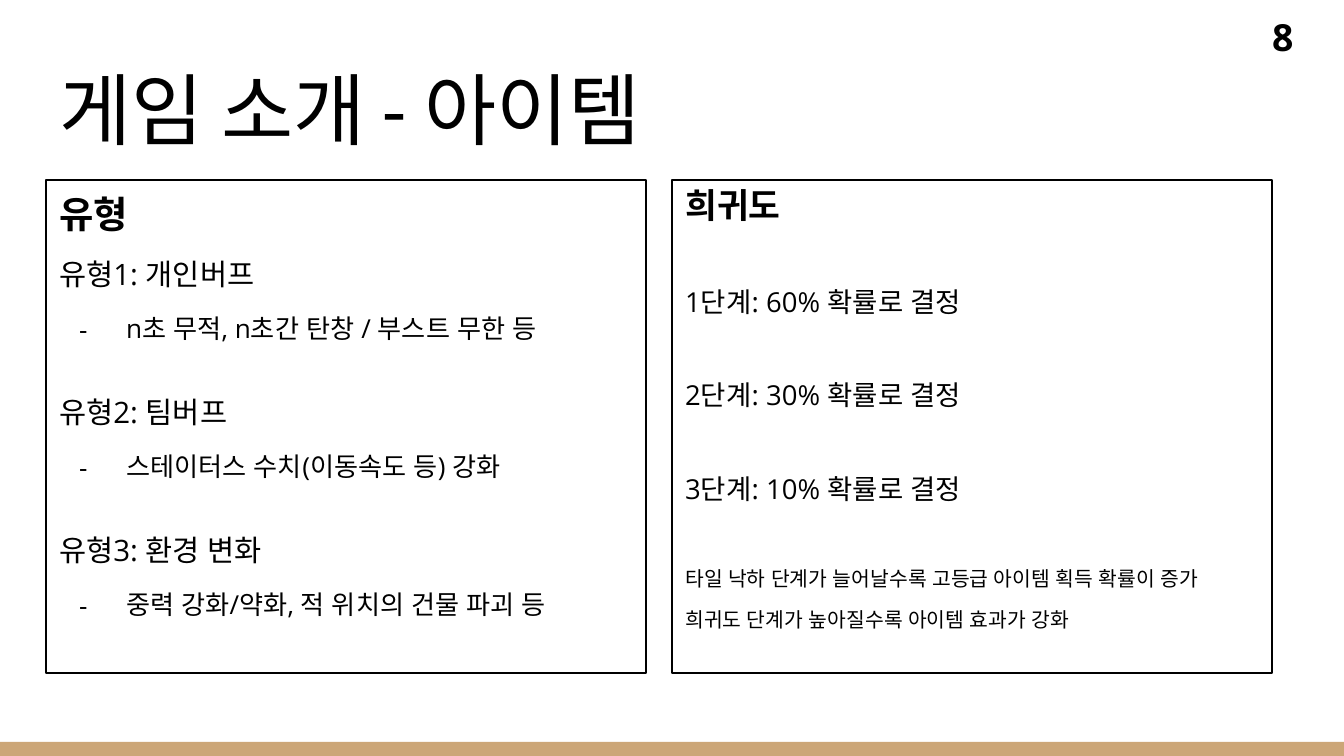
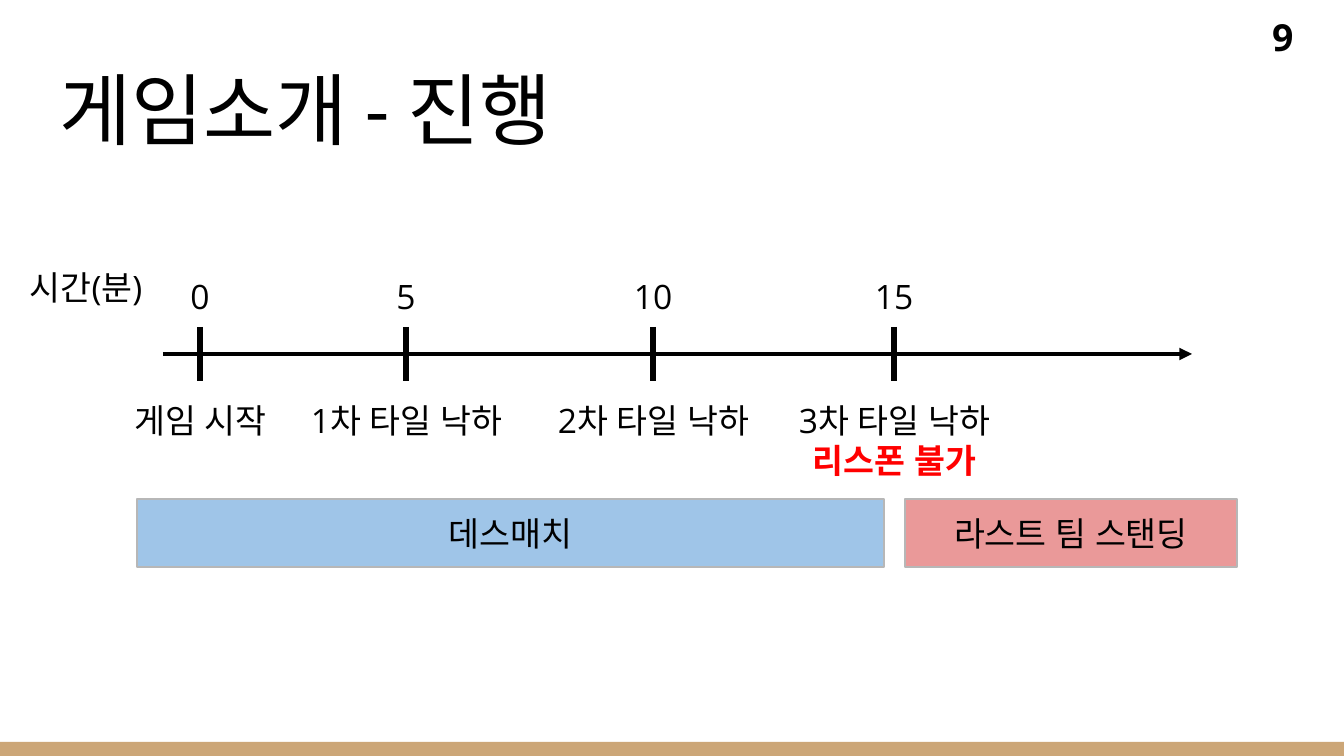
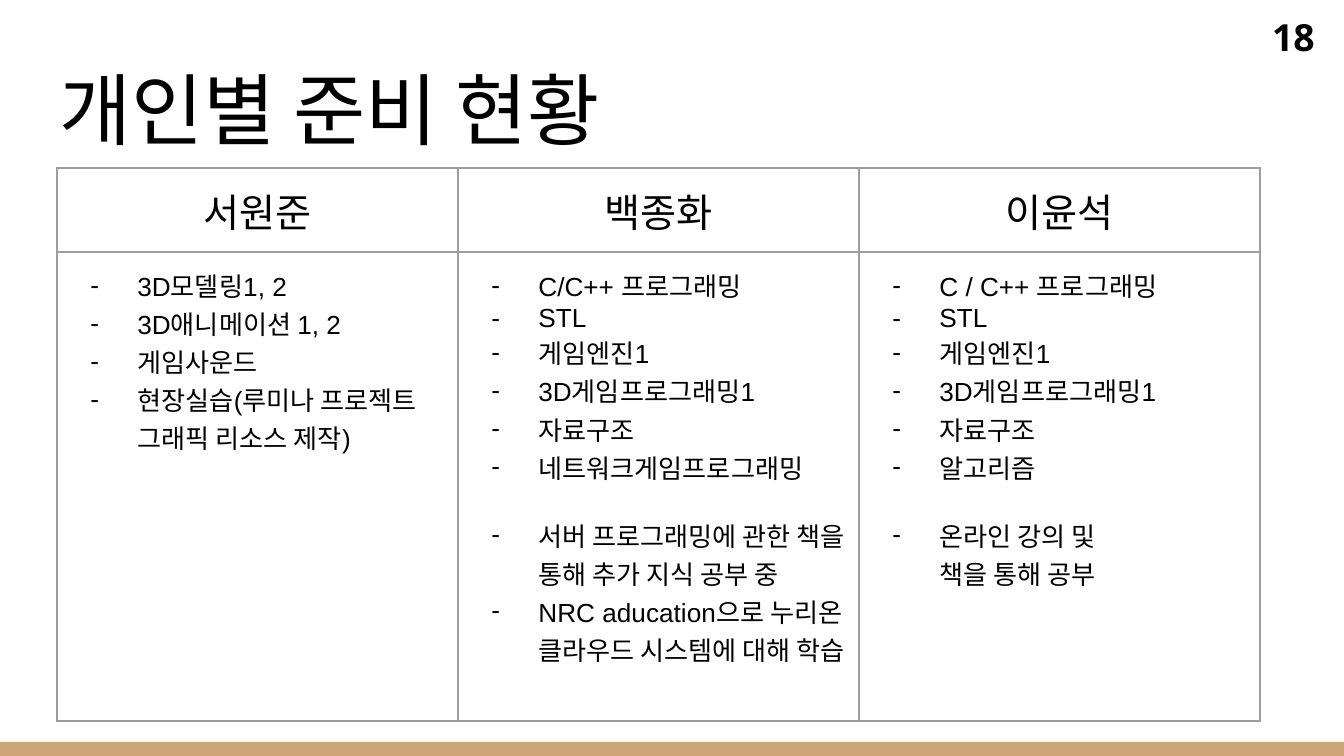
from copy import deepcopy
from dataclasses import dataclass
from typing import Any, NamedTuple, Optional

from lxml.etree import SubElement
from pptx import Presentation
from pptx.dml.color import RGBColor
from pptx.enum.shapes import MSO_CONNECTOR, MSO_SHAPE
from pptx.enum.text import MSO_ANCHOR, MSO_AUTO_SIZE, PP_ALIGN
from pptx.oxml.ns import qn
from pptx.util import Emu, Pt

COLORS = {
    "ink": "000000",
    "band": "CCA677",
    "alert": "FF0000",
    "deathmatch": "9FC5E8",
    "last_team": "EA9999",
    "bar_edge": "B7B7B7",
    "grid": "9E9E9E",
}
BODY_FONT = "Open Sans"
TITLE_FONT = "Calibri"
TABLE_FONT = "Arial"
PAGE_WIDTH, PAGE_HEIGHT = 1344, 756
INSET = 14
BULLET_LEFT, BULLET_HANG = 67, 47
CENTER = PP_ALIGN.CENTER


class Area(NamedTuple):
    left: int
    top: int
    width: int
    height: int


@dataclass(frozen=True)
class Line:
    text: str
    size: float = 18
    font: str = BODY_FONT
    bold: bool = False
    color: str = "ink"
    align: PP_ALIGN = PP_ALIGN.LEFT
    before: float = 0
    spacing: Optional[float] = None
    bullet: bool = False


class Milestone(NamedTuple):
    x: int
    minute: str
    captions: list[Line]


class Phase(NamedTuple):
    area: Area
    name: str
    color: str


class Member(NamedTuple):
    name: str
    studies: list[str]
    extra: list[str]


def px(length: int) -> Emu:
    return Emu(round(length * 914400 / 134.4))


def rgb(name: str) -> RGBColor:
    return RGBColor.from_string(COLORS[name])


def add_bullet(para: Any, font: str) -> None:
    properties = para._p.get_or_add_pPr()
    properties.set("marL", str(px(BULLET_LEFT)))
    properties.set("indent", str(-px(BULLET_HANG)))
    color = SubElement(properties, qn("a:buClr"))
    SubElement(color, qn("a:srgbClr"), val=COLORS["ink"])
    SubElement(properties, qn("a:buFont"), typeface=font)
    SubElement(properties, qn("a:buChar"), char="-")


def add_span(para: Any, text: str, line: Line) -> Any:
    span = para.add_run()
    span.text = text
    span.font.size = Pt(line.size)
    span.font.bold = line.bold
    span.font.name = line.font
    span.font.color.rgb = rgb(line.color)
    if line.font == BODY_FONT:
        SubElement(span._r.get_or_add_rPr(), qn("a:ea"), typeface=line.font)
    return span


def write(frame: Any, lines: list[Line]) -> None:
    for index, line in enumerate(lines):
        para = frame.add_paragraph() if index else frame.paragraphs[0]
        para.alignment = line.align
        if line.spacing:
            para.line_spacing = line.spacing
        if line.before:
            para.space_before = Pt(line.before)
        if line.bullet:
            add_bullet(para, line.font)
        first, *rest = line.text.split("\n")
        span = add_span(para, first, line)
        for text in rest:
            para.add_line_break()
            para._p[-1].append(deepcopy(span._r.rPr))
            add_span(para, text, line)


def fill_frame(frame: Any, lines: list[Line], anchor: MSO_ANCHOR) -> None:
    frame.word_wrap = True
    frame.vertical_anchor = anchor
    frame.margin_top = frame.margin_bottom = px(INSET)
    write(frame, lines)


def add_text(page: Any, area: Area, lines: list[Line],
             anchor: MSO_ANCHOR = MSO_ANCHOR.TOP, grow: bool = True) -> None:
    box = page.shapes.add_textbox(*map(px, area))
    fill_frame(box.text_frame, lines, anchor)
    if grow:
        box.text_frame.auto_size = MSO_AUTO_SIZE.SHAPE_TO_FIT_TEXT


def add_box(page: Any, area: Area, fill: Optional[str] = None,
            edge: Optional[str] = None, lines: Optional[list[Line]] = None) -> None:
    box = page.shapes.add_shape(MSO_SHAPE.RECTANGLE, *map(px, area))
    box.shadow.inherit = False
    if fill:
        box.fill.solid()
        box.fill.fore_color.rgb = rgb(fill)
    else:
        box.fill.background()
    if edge:
        box.line.color.rgb = rgb(edge)
        box.line.width = Pt(0.75)
    else:
        box.line.fill.background()
    if lines:
        fill_frame(box.text_frame, lines, MSO_ANCHOR.TOP)


def add_rule(page: Any, start: tuple[int, int], end: tuple[int, int],
             width: float, arrow: bool = False) -> None:
    rule = page.shapes.add_connector(MSO_CONNECTOR.STRAIGHT, *map(px, start + end))
    rule.line.color.rgb = rgb("ink")
    rule.line.width = Pt(width)
    if arrow:
        SubElement(rule.line._get_or_add_ln(), qn("a:tailEnd"), type="triangle")
    SubElement(rule._element.spPr, qn("a:effectLst"))


def add_page(deck: Any, title: str, number: int) -> Any:
    page = deck.slides.add_slide(deck.slide_layouts[6])
    add_box(page, Area(0, 742, PAGE_WIDTH, 14), "band")
    add_text(page, Area(46, 47, 1252, 122), [Line(title, 42, TITLE_FONT)],
             MSO_ANCHOR.BOTTOM, grow=False)
    add_text(page, Area(1259, 0, 85, 73), [Line(str(number), 20, bold=True)])
    return page


def build_items(deck: Any) -> None:
    page = add_page(deck, "게임 소개 - 아이템", 8)
    kinds = [
        ("개인버프", "n초 무적, n초간 탄창 / 부스트 무한 등"),
        ("팀버프", "스테이터스 수치(이동속도 등) 강화"),
        ("환경 변화", "중력 강화/약화, 적 위치의 건물 파괴 등"),
    ]
    kind_lines = [Line("유형", 20, bold=True, spacing=0.95)]
    for index, (kind, effect) in enumerate(kinds, 1):
        kind_lines += [
            Line(f"유형{index}: {kind}", 15.8, before=12 if index == 1 else 28, spacing=0.95),
            Line(effect, 14, before=12, spacing=0.95, bullet=True),
        ]
    rarity_lines = [Line("희귀도", 18.5, bold=True, spacing=0.75)]
    for index, chance in enumerate((60, 30, 10), 1):
        rarity_lines.append(Line(f"{index}단계: {chance}% 확률로 결정", 14.7,
                                 before=36 if index == 1 else 37, spacing=0.75))
    rarity_lines += [
        Line("타일 낙하 단계가 늘어날수록 고등급 아이템 획득 확률이 증가", 10.9,
             before=36, spacing=0.75),
        Line("희귀도 단계가 높아질수록 아이템 효과가 강화", 10.9, before=12, spacing=0.75),
    ]
    for left, lines in ((46, kind_lines), (672, rarity_lines)):
        add_box(page, Area(left, 180, 600, 493), edge="ink", lines=lines)


def build_timeline(deck: Any) -> None:
    page = add_page(deck, "게임소개 - 진행", 9)
    axis_y, tick_half = 354, 27
    number_width, caption_width = 72, 281
    milestones = [
        Milestone(200, "0", [Line("게임 시작", align=CENTER)]),
        Milestone(406, "5", [Line("1차 타일 낙하", align=CENTER)]),
        Milestone(653, "10", [Line("2차 타일 낙하", align=CENTER)]),
        Milestone(894, "15", [
            Line("3차 타일 낙하", align=CENTER),
            Line("리스폰 불가", bold=True, color="alert", align=CENTER),
        ]),
    ]
    phases = [
        Phase(Area(137, 499, 747, 68), "데스매치", "deathmatch"),
        Phase(Area(905, 499, 332, 68), "라스트 팀 스탠딩", "last_team"),
    ]
    add_text(page, Area(11, 253, 150, 67), [Line("시간(분)", align=CENTER)])
    add_rule(page, (163, axis_y), (1192, axis_y), 2.25, arrow=True)
    for stone in milestones:
        add_rule(page, (stone.x, axis_y - tick_half), (stone.x, axis_y + tick_half), 3)
        add_text(page, Area(stone.x - number_width // 2, 262, number_width, 67),
                 [Line(stone.minute, align=CENTER)])
        add_text(page, Area(stone.x - caption_width // 2, 386, caption_width, 67),
                 stone.captions)
    for phase in phases:
        add_box(page, phase.area, phase.color, "bar_edge", [Line(phase.name, align=CENTER)])


def style_cell(cell: Any, lines: list[Line], anchor: MSO_ANCHOR) -> None:
    cell.fill.background()
    cell.vertical_anchor = anchor
    cell.margin_top = cell.margin_bottom = px(INSET)
    properties = cell._tc.get_or_add_tcPr()
    for index, side in enumerate(("lnL", "lnR", "lnT", "lnB")):
        border = SubElement(properties, qn(f"a:{side}"), w=str(Pt(0.75)))
        fill = SubElement(border, qn("a:solidFill"))
        SubElement(fill, qn("a:srgbClr"), val=COLORS["grid"])
        properties.insert(index, border)
    write(cell.text_frame, lines)


def build_members(deck: Any) -> None:
    page = add_page(deck, "개인별 준비 현황", 18)
    shared = ["STL", "게임엔진1", "3D게임프로그래밍1", "자료구조"]
    members = [
        Member("서원준", ["3D모델링1, 2", "3D애니메이션 1, 2", "게임사운드",
                       "현장실습(루미나 프로젝트 그래픽 리소스 제작)"], []),
        Member("백종화", ["C/C++ 프로그래밍", *shared, "네트워크게임프로그래밍"],
               ["서버 프로그래밍에 관한 책을 통해 추가 지식 공부 중",
                "NRC aducation으로 누리온 클라우드 시스템에 대해 학습"]),
        Member("이윤석", ["C / C++ 프로그래밍", *shared, "알고리즘"],
               ["온라인 강의 및\n책을 통해 공부"]),
    ]
    column_width, row_heights = 401, (84, 469)
    area = Area(57, 168, column_width * len(members), sum(row_heights))
    table = page.shapes.add_table(2, len(members), *map(px, area)).table
    table.first_row = table.horz_banding = False
    for row, height in zip(table.rows, row_heights):
        row.height = px(height)
    for index, member in enumerate(members):
        table.columns[index].width = px(column_width)
        style_cell(table.cell(0, index), [Line(member.name, 21, TABLE_FONT, align=CENTER)],
                   MSO_ANCHOR.MIDDLE)
        lines = [Line(study, 14, TABLE_FONT, bullet=True) for study in member.studies]
        lines += [Line(text, 14, TABLE_FONT, before=0 if order else 16, bullet=True)
                  for order, text in enumerate(member.extra)]
        style_cell(table.cell(1, index), lines, MSO_ANCHOR.TOP)


def main() -> None:
    deck = Presentation()
    deck.slide_width, deck.slide_height = px(PAGE_WIDTH), px(PAGE_HEIGHT)
    build_items(deck)
    build_timeline(deck)
    build_members(deck)
    deck.save("out.pptx")


if __name__ == "__main__":
    main()
